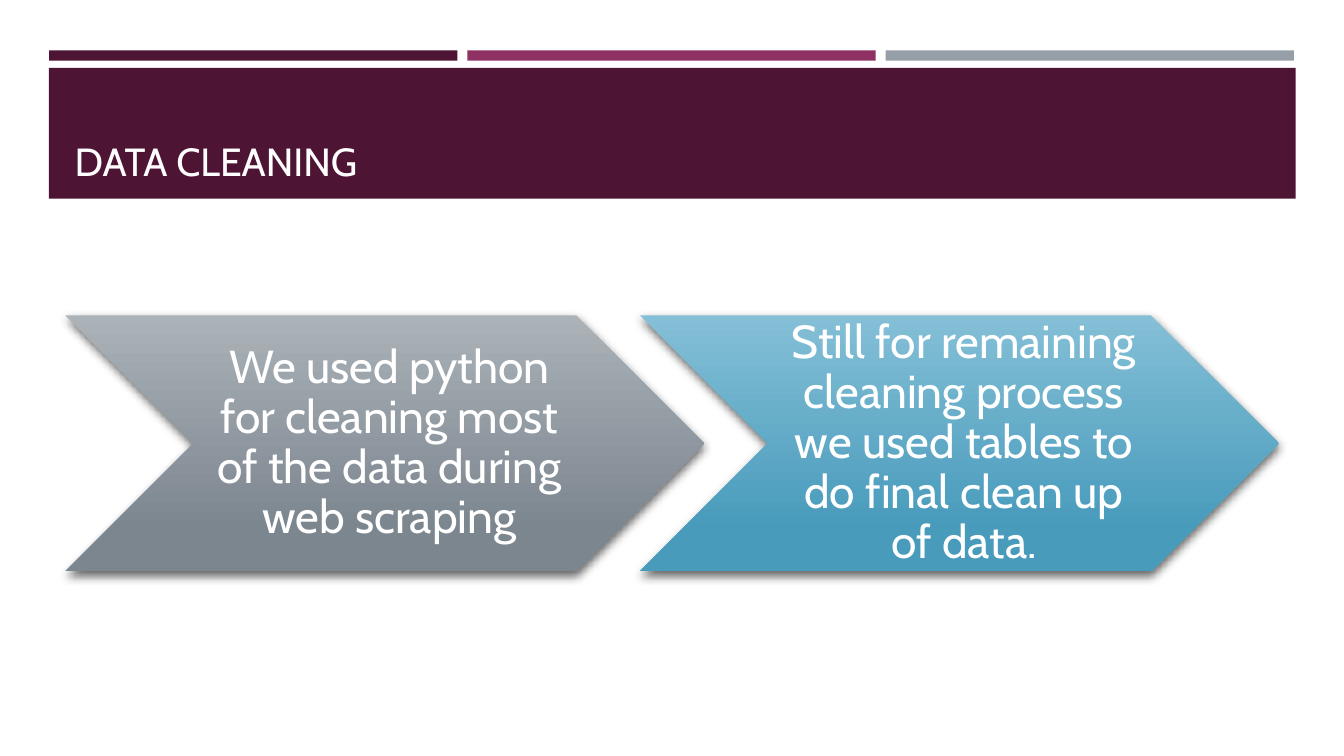
from lxml import etree
from pptx import Presentation
from pptx.dml.color import RGBColor
from pptx.enum.shapes import MSO_SHAPE
from pptx.enum.text import MSO_ANCHOR, PP_ALIGN
from pptx.oxml.ns import qn
from pptx.util import Cm, Pt

RECT = MSO_SHAPE.RECTANGLE
CHEVRON = MSO_SHAPE.CHEVRON
MIDDLE = MSO_ANCHOR.MIDDLE
BOTTOM = MSO_ANCHOR.BOTTOM
LEFT = PP_ALIGN.LEFT
CENTER = PP_ALIGN.CENTER

FONT = "Cabin"
PLUM = "4D1434"
BAR_COLORS = (PLUM, "903163", "969FA7")
BAR_LEFT, BAR_PITCH = 1.24, 10.54
STEP_LEFT, STEP_PITCH = 1.65, 14.48
STEP_TOP, STEP_WIDTH, STEP_HEIGHT = 7.95, 16.1, 6.45
STEPS = (
    ("We used python for cleaning most of the data during web scraping",
     "ABB2B8", "7C868F"),
    ("Still for remaining cleaning process we used tables to do final clean up of data.",
     "84BFD7", "489BBB"),
)


def rgb(value):
    return RGBColor.from_string(value)


def add_block(s, kind, x, y, w, h):
    sp = s.shapes.add_shape(kind, Cm(x), Cm(y), Cm(w), Cm(h))
    sp.shadow.inherit = False
    sp.line.fill.background()
    return sp


def add_bar(s, x, y, w, h, color):
    sp = add_block(s, RECT, x, y, w, h)
    sp.fill.solid()
    sp.fill.fore_color.rgb = rgb(color)


def add_shadow(sp):
    effects = sp._element.spPr.find(qn("a:effectLst"))
    shadow = etree.SubElement(effects, qn("a:outerShdw"), blurRad=str(Pt(7)),
                              dist=str(Pt(3)), dir=str(84 * 60000),
                              algn="tl", rotWithShape="0")
    color = etree.SubElement(shadow, qn("a:srgbClr"), val="000000")
    etree.SubElement(color, qn("a:alpha"), val="60000")


def add_text(s, x, y, w, h, text, size, color, anchor, align):
    tf = s.shapes.add_textbox(Cm(x), Cm(y), Cm(w), Cm(h)).text_frame
    tf.word_wrap = True
    tf.vertical_anchor = anchor
    p = tf.paragraphs[0]
    p.alignment = align
    r = p.add_run()
    r.text = text
    r.font.name = FONT
    r.font.size = Pt(size)
    r.font.color.rgb = rgb(color)
    return tf


def add_step(s, x, text, top_color, bottom_color):
    sp = add_block(s, CHEVRON, x, STEP_TOP, STEP_WIDTH, STEP_HEIGHT)
    sp.fill.gradient()
    sp.fill.gradient_angle = 270
    stops = zip(sp.fill.gradient_stops, (0, 0.84), (top_color, bottom_color))
    for stop, position, color in stops:
        stop.position = position
        stop.color.rgb = rgb(color)
    add_shadow(sp)
    notch = STEP_HEIGHT / 2
    tf = add_text(s, x + notch, STEP_TOP, STEP_WIDTH - 2 * notch, STEP_HEIGHT,
                  text, 33, "FFFFFF", MIDDLE, CENTER)
    tf.margin_left = Cm(0.36)
    tf.margin_right = tf.margin_top = tf.margin_bottom = Cm(0.13)
    tf.paragraphs[0].line_spacing = 0.9


def main():
    prs = Presentation()
    prs.slide_width, prs.slide_height = Cm(33.87), Cm(19.05)
    s = prs.slides.add_slide(prs.slide_layouts[6])
    for i, color in enumerate(BAR_COLORS):
        add_bar(s, BAR_LEFT + i * BAR_PITCH, 1.27, 10.29, 0.26, color)
    add_bar(s, 1.23, 1.71, 31.42, 3.3, PLUM)
    add_text(s, 1.63, 1.96, 30.63, 2.82, "DATA CLEANING", 28, "FFFEFF", BOTTOM, LEFT)
    for i, step in enumerate(STEPS):
        add_step(s, STEP_LEFT + i * STEP_PITCH, *step)
    prs.save("out.pptx")


main()
